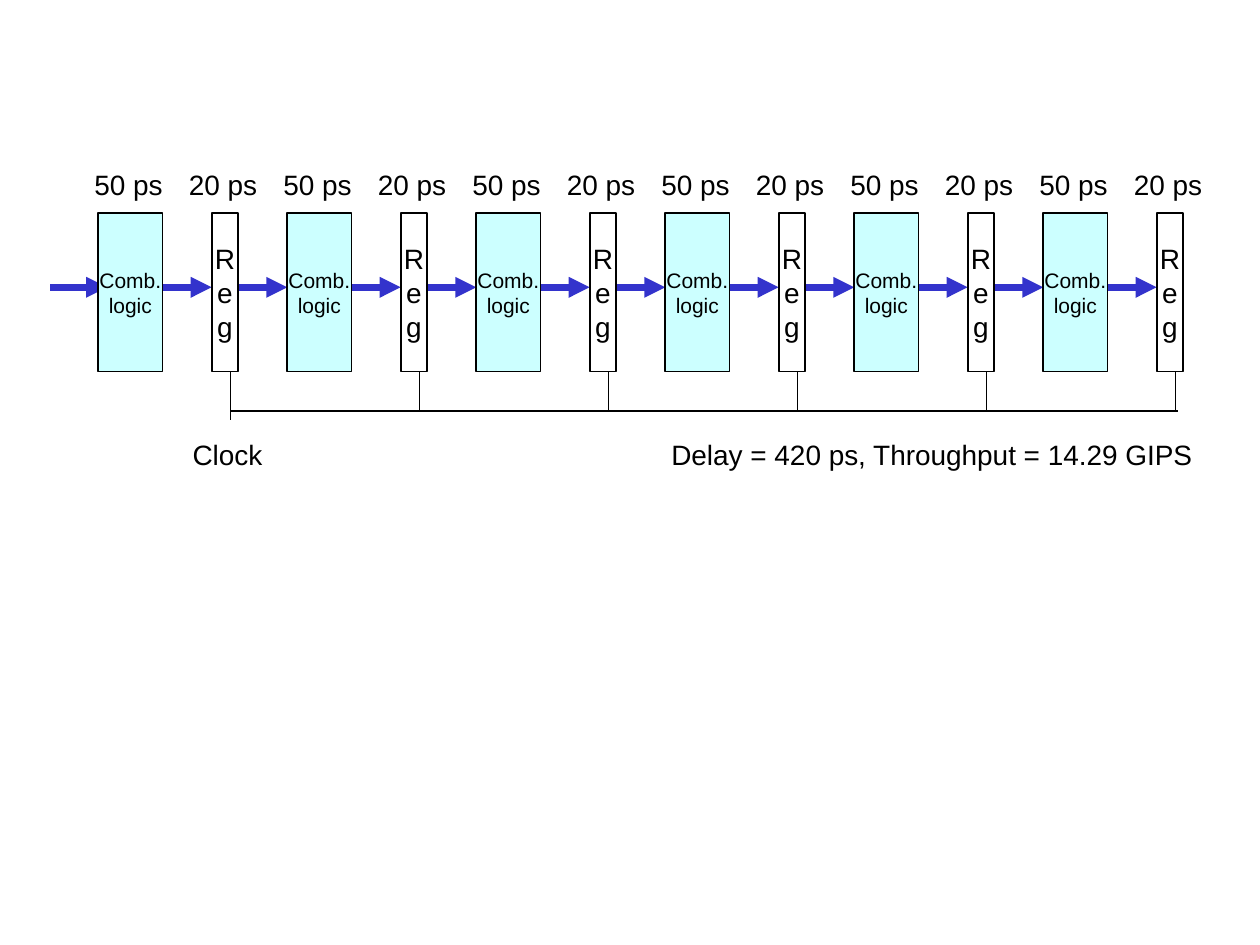
from lxml import etree
from pptx import Presentation
from pptx.dml.color import RGBColor
from pptx.enum import shapes, text
from pptx.oxml.ns import qn
from pptx.util import Inches, Pt

COLORS = {"ink": "000000", "arrow": "3333CC", "logic": "CCFFFF", "register": "FFFFFF"}
FONT = "Arial"
STAGES = 6
PITCH = 1.5
LOGIC_W, REG_W = 0.51, 0.21
REG_DX, ARROW_LEN = 0.9, 0.45
LABEL_W, LABEL_H = 0.72, 0.36


def color(name):
    return RGBColor.from_string(COLORS[name])


def write(shape, lines, size, align, inset):
    tf = shape.text_frame
    tf.word_wrap = False
    tf.margin_left = tf.margin_right = Inches(inset)
    tf.margin_top = tf.margin_bottom = Inches(0.05)
    for i, line in enumerate(lines):
        p = tf.add_paragraph() if i else tf.paragraphs[0]
        p.alignment = align
        r = p.add_run()
        r.text = line
        r.font.name = FONT
        r.font.size = Pt(size)
        r.font.color.rgb = color("ink")
    return tf


def add_label(s, words, box, align=text.PP_ALIGN.CENTER, inset=0.04):
    sp = s.shapes.add_textbox(*map(Inches, box))
    tf = write(sp, [words], 16, align, inset)
    tf.auto_size = text.MSO_AUTO_SIZE.SHAPE_TO_FIT_TEXT


def add_block(s, lines, size, fill, box):
    sp = s.shapes.add_shape(shapes.MSO_SHAPE.RECTANGLE, *map(Inches, box))
    sp.shadow.inherit = False
    sp.fill.solid()
    sp.fill.fore_color.rgb = color(fill)
    sp.line.color.rgb = color("ink")
    sp.line.width = Pt(1)
    tf = write(sp, lines, size, text.PP_ALIGN.CENTER, 0.09)
    tf.vertical_anchor = text.MSO_ANCHOR.MIDDLE


def add_line(s, x1, y1, x2, y2):
    line = s.shapes.add_connector(
        shapes.MSO_CONNECTOR.STRAIGHT, *map(Inches, (x1, y1, x2, y2)))
    line.line.color.rgb = color("ink")
    line.line.width = Pt(1)
    etree.SubElement(line._element.spPr, qn("a:effectLst"))
    return line


def add_arrow(s, x, y):
    arrow = add_line(s, x, y, x + ARROW_LEN, y)
    arrow.line.color.rgb = color("arrow")
    arrow.line.width = Pt(4)
    ln = arrow.line._get_or_add_ln()
    etree.SubElement(ln, qn("a:tailEnd"), type="triangle")


def add_arrows(s, left, top, height):
    y = top + height / 2 - 0.04
    for i in range(STAGES):
        x = left + i * PITCH
        add_arrow(s, x - ARROW_LEN if i else 0.4, y)
        add_arrow(s, x + ARROW_LEN, y)


def add_stage(s, left, top, height):
    reg_left = left + REG_DX
    label_top = top - 0.41
    add_block(s, ["Comb.", "logic"], 12, "logic", (left, top, LOGIC_W, height))
    add_block(s, ["R", "e", "g"], 16, "register", (reg_left, top, REG_W, height))
    add_label(s, "50 ps", (left - 0.12, label_top, LABEL_W, LABEL_H))
    add_label(s, "20 ps", (reg_left - 0.27, label_top, LABEL_W, LABEL_H))


def add_clock(s, left, top, bus_y):
    for i in range(STAGES):
        x = left + i * PITCH
        add_line(s, x, top, x, bus_y if i else bus_y + 0.07)
    add_line(s, left, bus_y, left + (STAGES - 1) * PITCH + 0.02, bus_y)
    add_label(s, "Clock", (left - 0.4, 3.42, 0.75, LABEL_H))


def add_pipeline(s, left, top, height):
    add_arrows(s, left, top, height)
    for i in range(STAGES):
        add_stage(s, left + i * PITCH, top, height)
    add_clock(s, left + REG_DX + 0.15, top + height, 3.26)


def main():
    prs = Presentation()
    prs.slide_width, prs.slide_height = Inches(10), Inches(7.5)
    s = prs.slides.add_slide(prs.slide_layouts[6])
    add_pipeline(s, 0.78, 1.69, 1.26)
    add_label(s, "Delay = 420 ps, Throughput = 14.29 GIPS",
              (5.23, 3.42, 4.36, LABEL_H), text.PP_ALIGN.LEFT, 0.1)
    prs.save("out.pptx")


if __name__ == "__main__":
    main()
